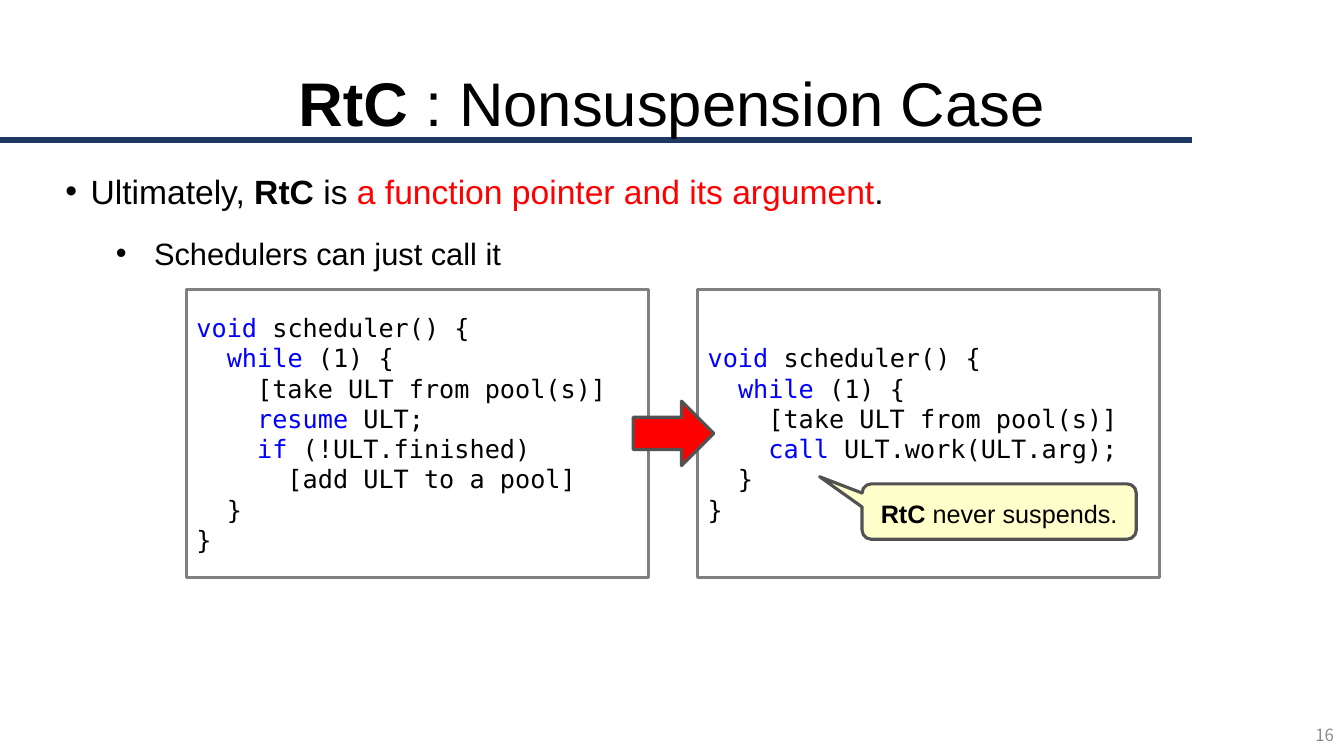
from lxml import etree
from pptx import Presentation
from pptx.dml.color import RGBColor
from pptx.enum.shapes import MSO_CONNECTOR, MSO_SHAPE
from pptx.enum.text import MSO_ANCHOR, PP_ALIGN
from pptx.oxml.ns import qn
from pptx.util import Inches, Pt

RECTANGLE = MSO_SHAPE.RECTANGLE
RIGHT_ARROW = MSO_SHAPE.RIGHT_ARROW
CALLOUT = MSO_SHAPE.ROUNDED_RECTANGULAR_CALLOUT
STRAIGHT = MSO_CONNECTOR.STRAIGHT
TOP, MIDDLE = MSO_ANCHOR.TOP, MSO_ANCHOR.MIDDLE
LEFT, CENTER, RIGHT = PP_ALIGN.LEFT, PP_ALIGN.CENTER, PP_ALIGN.RIGHT

SANS, MONO, NUMBER_FONT = "Arial", "DejaVu Sans Mono", "Noto Sans CJK JP"
BLACK, RED, KEYWORD, OUTLINE = "000000", "FF0000", "0000FF", "525252"

# Code lines are lists of (text, colour) spans
LOOP_START = [
    [("void ", KEYWORD), ("scheduler() {", BLACK)],
    [("  ", BLACK), ("while", KEYWORD), (" (1) {", BLACK)],
    [("    [take ULT from pool(s)]", BLACK)],
]
LOOP_END = [[("  }", BLACK)], [("}", BLACK)]]
RESUME_STEPS = [
    [("    ", BLACK), ("resume", KEYWORD), (" ULT;", BLACK)],
    [("    ", BLACK), ("if", KEYWORD), (" (!ULT.finished)", BLACK)],
    [("      [add ULT to a pool]", BLACK)],
]
CALL_STEPS = [
    [("    ", BLACK), ("call ", KEYWORD), ("ULT.work(ULT.arg);", BLACK)],
]


def color(hex_string):
    return RGBColor.from_string(hex_string)


def add_span(para, text, size, font=SANS, hex_color=BLACK, bold=False):
    span = para.add_run()
    span.text = text
    span.font.size = Pt(size)
    span.font.name = font
    span.font.bold = bold
    span.font.color.rgb = color(hex_color)


def add_text_box(page, left, top, width, height, anchor=MIDDLE, align=LEFT):
    box = page.shapes.add_textbox(
        Inches(left), Inches(top), Inches(width), Inches(height))
    frame = box.text_frame
    frame.word_wrap = True
    frame.vertical_anchor = anchor
    frame.paragraphs[0].alignment = align
    return frame


def add_bullet(para, margin, hanging):
    properties = para._p.get_or_add_pPr()
    properties.set("marL", str(Inches(margin)))
    properties.set("indent", str(-Inches(hanging)))
    etree.SubElement(properties, qn("a:buFont"), typeface=SANS)
    etree.SubElement(properties, qn("a:buChar"), char="•")
    para.line_spacing = 1.1


def add_box(page, kind, left, top, width, height, fill, line, line_width):
    box = page.shapes.add_shape(
        kind, Inches(left), Inches(top), Inches(width), Inches(height))
    box.shadow.inherit = False
    box.fill.solid()
    box.fill.fore_color.rgb = color(fill)
    box.line.color.rgb = color(line)
    box.line.width = Pt(line_width)
    box.text_frame.word_wrap = True
    box.text_frame.vertical_anchor = MIDDLE
    return box


def add_code_box(page, left, lines):
    box = add_box(page, RECTANGLE, left, 2.87, 4.58, 2.86, "FFFFFF", "808080", 2)
    frame = box.text_frame
    for number, line in enumerate(lines):
        para = frame.add_paragraph() if number else frame.paragraphs[0]
        para.alignment = LEFT
        for text, hex_color in line:
            add_span(para, text, 18, MONO, hex_color)


def add_rule(page, y, end, hex_color, width):
    rule = page.shapes.add_connector(
        STRAIGHT, Inches(0), Inches(y), Inches(end), Inches(y))
    rule.line.color.rgb = color(hex_color)
    rule.line.width = Pt(width)
    etree.SubElement(rule._element.spPr, qn("a:effectLst"))


def add_callout(page):
    callout = add_box(page, CALLOUT, 8.55, 4.8, 2.72, 0.55,
                      "FFFFCC", OUTLINE, 2.25)
    for index, value in enumerate((-0.655, -0.629, 0.167)):
        callout.adjustments[index] = value
    para = callout.text_frame.paragraphs[0]
    para.alignment = CENTER
    para.line_spacing = 1.1
    add_span(para, "RtC ", 18, bold=True)
    add_span(para, "never suspends.", 18)


def main():
    deck = Presentation()
    deck.slide_width, deck.slide_height = Inches(13.33), Inches(7.5)
    page = deck.slides.add_slide(deck.slide_layouts[6])

    # Title and rule
    add_rule(page, 1.39, 11.82, "203864", 4)
    title = add_text_box(page, 0, 0.52, 13.33, 0.99, align=CENTER).paragraphs[0]
    add_span(title, "RtC", 44, bold=True)
    add_span(title, " : Nonsuspension Case", 44)

    # Bullets
    body = add_text_box(page, 0.55, 1.61, 12.26, 5.15, anchor=TOP)
    claim = body.paragraphs[0]
    add_bullet(claim, 0.25, 0.25)
    add_span(claim, "Ultimately, ", 24)
    add_span(claim, "RtC", 24, bold=True)
    add_span(claim, " is ", 24)
    add_span(claim, "a function pointer and its argument", 24, hex_color=RED)
    add_span(claim, ".", 24)
    detail = body.add_paragraph()
    detail.level = 1
    add_bullet(detail, 0.88, 0.38)
    detail.space_before = Pt(14)
    add_span(detail, "Schedulers can just call it", 22)

    # Page number
    number = add_text_box(page, 10.33, 7.09, 3, 0.4, align=RIGHT).paragraphs[0]
    add_span(number, "16", 12, NUMBER_FONT, "8C8C8C")

    # Scheduler code before and after
    add_code_box(page, 1.85, LOOP_START + RESUME_STEPS + LOOP_END)
    add_code_box(page, 6.92, LOOP_START + CALL_STEPS + LOOP_END)
    add_box(page, RIGHT_ARROW, 6.28, 3.98, 0.8, 0.64, RED, OUTLINE, 2.25)
    add_callout(page)

    deck.save("out.pptx")


if __name__ == "__main__":
    main()
